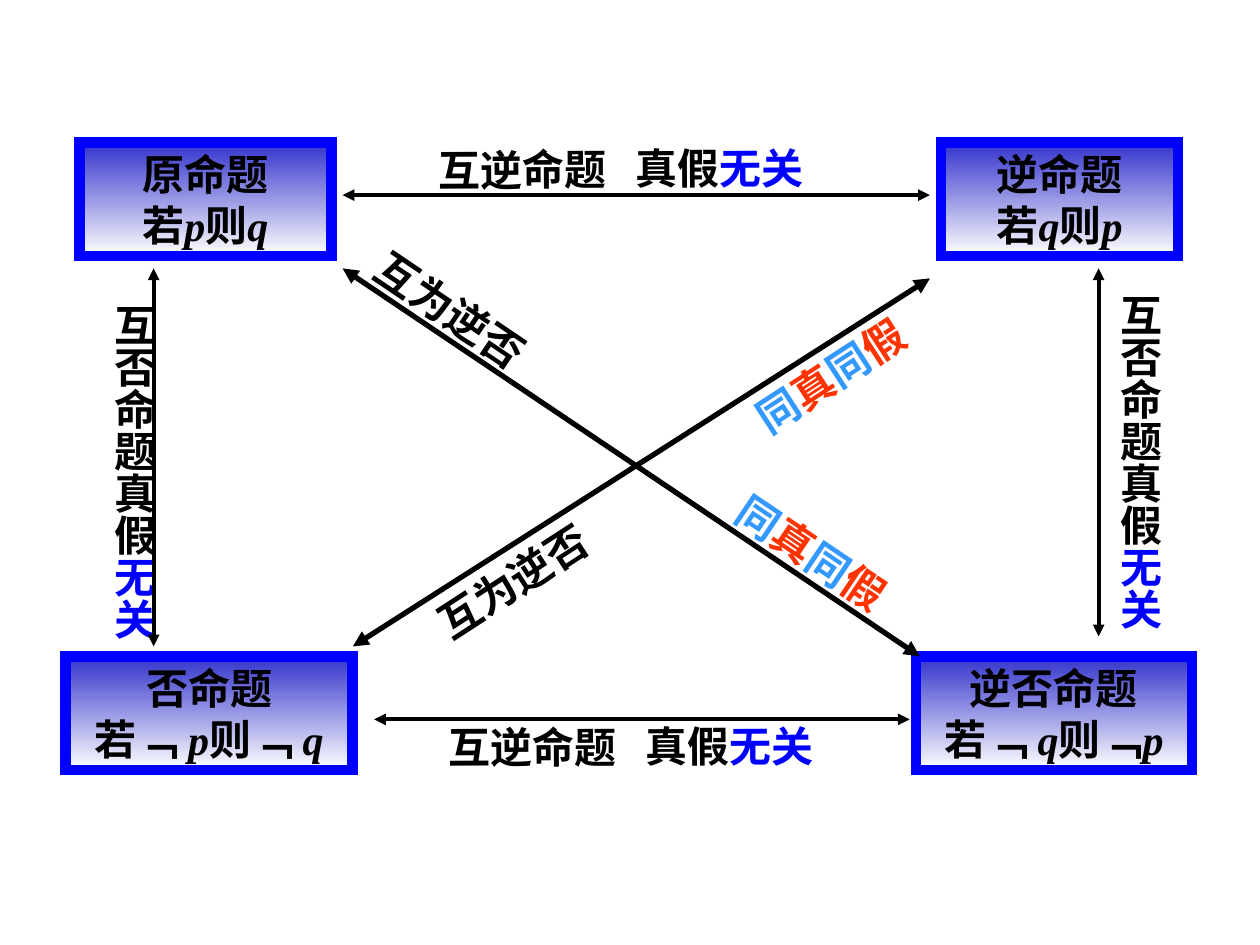
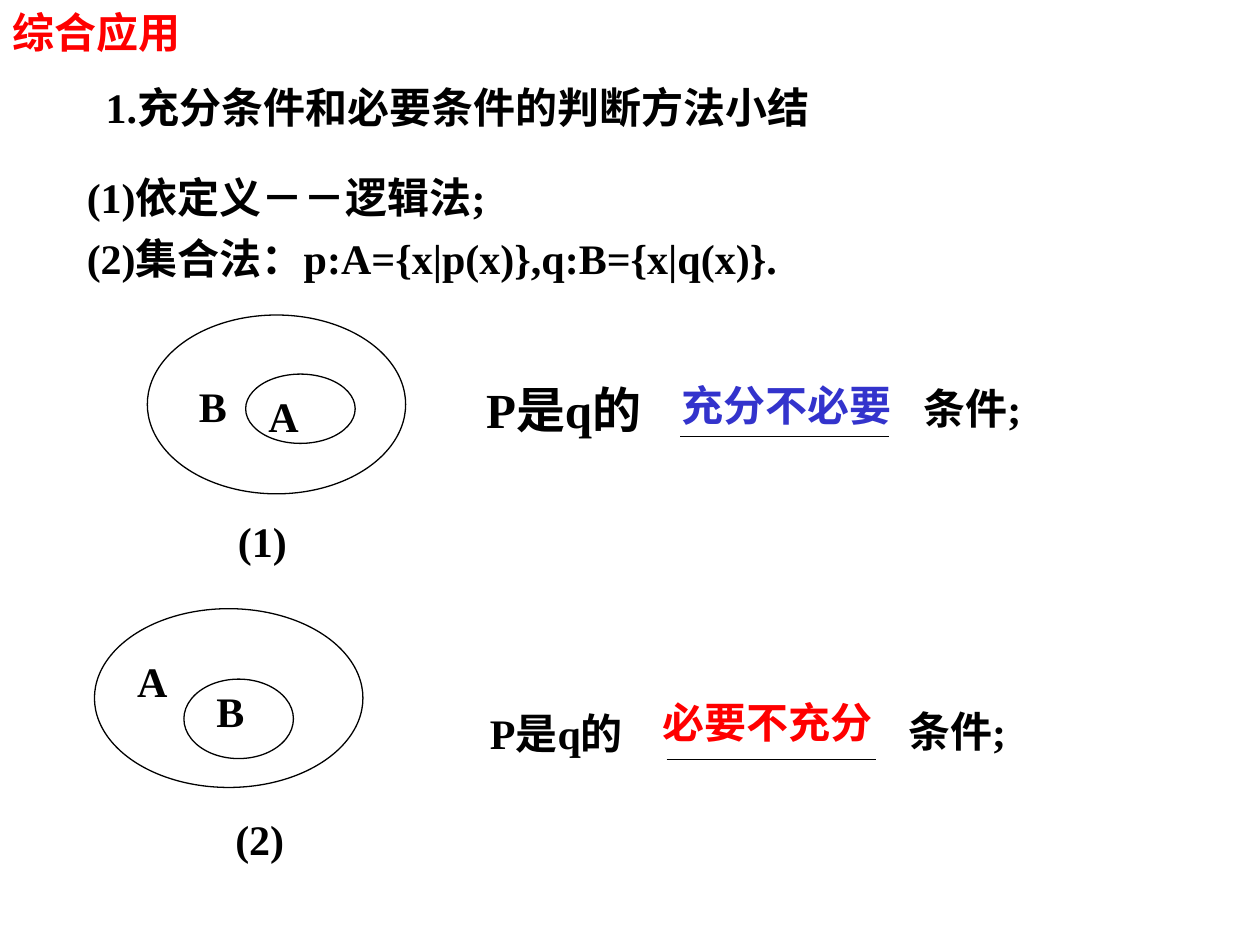
"""Build two slides on the four forms of a proposition and on conditions."""
from pptx import Presentation
from pptx.dml.color import RGBColor
from pptx.enum.shapes import MSO_CONNECTOR, MSO_SHAPE
from pptx.enum.text import MSO_ANCHOR, PP_ALIGN
from pptx.oxml.ns import qn
from pptx.util import Pt
from lxml import etree

RECT, OVAL = MSO_SHAPE.RECTANGLE, MSO_SHAPE.OVAL
STRAIGHT = MSO_CONNECTOR.STRAIGHT
LEFT, MID = PP_ALIGN.LEFT, PP_ALIGN.CENTER
TOP, MIDDLE = MSO_ANCHOR.TOP, MSO_ANCHOR.MIDDLE
FONT = "Times New Roman"
INK, BLUE, NAVY, RED = "000000", "0000FF", "3333CC", "FF0000"
SKY, FLAME, WHITE = "3399FF", "FF3300", "FFFFFF"
tint = RGBColor.from_string


def write(shape, lines, color=INK, size=24, align=LEFT, anchor=TOP, wrap=True):
    """Fill a shape with lines, each a list of (text, own colour or None)."""
    frame = shape.text_frame
    frame.word_wrap, frame.vertical_anchor = wrap, anchor
    for num, line in enumerate(lines):
        para = frame.add_paragraph() if num else frame.paragraphs[0]
        para.alignment = align
        font = para.font
        font.name, font.size, font.bold = FONT, Pt(size), True
        font.color.rgb = tint(color)
        for text, own in line:
            run = para.add_run()
            run.text = text
            if own:
                run.font.color.rgb = tint(own)
            if text in ("p", "q"):
                run.font.italic = True
    return frame


def draw(slide, ends, width, arrow=False):
    """Draw a straight black line, with heads at both ends if asked."""
    line = slide.shapes.add_connector(STRAIGHT, *map(Pt, ends))
    line.line.color.rgb, line.line.width = tint(INK), Pt(width)
    props = line._element.spPr
    if arrow:
        for tag in ("a:headEnd", "a:tailEnd"):
            etree.SubElement(props.find(qn("a:ln")), qn(tag), type="triangle")
    etree.SubElement(props, qn("a:effectLst"))


deck = Presentation()
deck.slide_width, deck.slide_height = Pt(720), Pt(540)

slide = deck.slides.add_slide(deck.slide_layouts[6])
forms = [
    (45.4, 81.4, 144, "原命题", ("若", "p", "则", "q")),
    (537.8, 81.4, 135.4, "逆命题", ("若", "q", "则", "p")),
    (37.4, 375.1, 164.2, "否命题", ("若﹁ ", "p", "则﹁ ", "q")),
    (523.4, 375.1, 157.7, "逆否命题", ("若﹁ ", "q", "则﹁", "p")),
]
for x, y, w, name, parts in forms:
    box = slide.shapes.add_shape(RECT, Pt(x), Pt(y), Pt(w), Pt(65))
    box.shadow.inherit = False
    box.fill.gradient()
    box.fill.gradient_angle = 270
    for stop, color, place in zip(box.fill.gradient_stops, (NAVY, WHITE), (0, 1)):
        stop.color.rgb, stop.position = tint(color), place
    box.line.color.rgb, box.line.width = tint(BLUE), Pt(6)
    edge = box._element.spPr.find(qn("a:ln"))
    etree.SubElement(edge, qn("a:miter"), lim="800000")
    write(box, [[(name, None)], [(part, None) for part in parts]],
          align=MID, wrap=False)

contra = [("互为逆否", None)]
same = [("同", SKY), ("真", FLAME), ("同", SKY), ("假", FLAME)]
inverse = [("互逆命题", None)]
free = [("真假", None), ("无关", BLUE)]
tags = [
    (293, 332, 327, contra), (474.5, 214.6, 327, same),
    (257.5, 177, 34, contra), (463.8, 315.6, 34, same),
    (298.6, 96.6, 359.6, inverse), (411, 95.8, 359.6, free),
    (304.2, 426.5, 359.6, inverse), (416.6, 426, 359.6, free),
]
wide, high = 112, 36
for x, y, turn, runs in tags:
    tag = slide.shapes.add_textbox(Pt(x - wide / 2), Pt(y - high / 2),
                                   Pt(wide), Pt(high))
    tag.rotation = turn
    write(tag, [runs], align=MID, anchor=MIDDLE, wrap=False)

for x, y in ((51.4, 167), (626.4, 161.2)):
    side = slide.shapes.add_textbox(Pt(x), Pt(y), Pt(43.2), Pt(210.2))
    frame = write(side, [[("互否命题真假", None), ("无关", BLUE)]])
    frame.margin_left = frame.margin_right = Pt(3.6)
    frame.margin_top = frame.margin_bottom = Pt(7.2)
    frame._txBody.bodyPr.set("vert", "eaVert")

arrows = [
    (195.8, 111.5, 531.4, 111.5, 2.25), (213.8, 411.1, 519.8, 411.1, 2.25),
    (87.8, 153.4, 87.8, 369.4, 2.25), (627.8, 153.4, 627.8, 363.6, 2.25),
    (201.6, 369.4, 531.4, 159.1, 3), (195.8, 153.4, 525.6, 375.1, 3),
]
for *ends, width in arrows:
    draw(slide, ends, width, arrow=True)

slide = deck.slides.add_slide(deck.slide_layouts[5])
title = slide.shapes.title
title.left, title.top, title.width, title.height = map(Pt, (42.5, 43.2, 437.8, 36))
write(title, [[("1.充分条件和必要条件的判断方法小结", None)]],
      align=MID, anchor=MIDDLE)

ovals = [
    (84.2, 180, 147.6, 102.2), (140.4, 213.8, 62.6, 39.6),
    (54, 347.8, 153.4, 102.2), (105.1, 388.1, 62.6, 45.4),
]
for spot in ovals:
    oval = slide.shapes.add_shape(OVAL, *map(Pt, spot))
    oval.shadow.inherit = False
    oval.fill.background()
    oval.line.color.rgb, oval.line.width = tint(INK), Pt(0.75)

notes = [
    (0, 0, 124.6, "综合应用", RED, 24),
    (128.9, 290.9, 48.2, "(1)", INK, 24),
    (146.2, 219.6, 51.1, "A", INK, 24),
    (106.6, 213.8, 33.8, "B", INK, 24),
    (382.3, 213.1, 153.4, "充分不必要", NAVY, 24),
    (270.7, 213.1, 140, "P是q的", INK, 28),
    (520.6, 215.3, 96.5, "条件;", INK, 24),
    (116.6, 388.1, 33.8, "B", INK, 24),
    (71.3, 370.8, 62.6, "A", INK, 24),
    (127.4, 461.5, 62.6, "(2)", INK, 24),
    (371.5, 394.6, 153.4, "必要不充分", RED, 24),
    (272.9, 401, 140, "P是q的", INK, 24),
    (511.9, 399.6, 96.5, "条件;", INK, 24),
]
for x, y, w, text, color, size in notes:
    note = slide.shapes.add_textbox(Pt(x), Pt(y), Pt(w), Pt(size * 1.5))
    write(note, [[(text, None)]], color, size)

for x, y in ((388.8, 249.3), (380.9, 434.2)):
    draw(slide, (x, y, x + 119.5, y), 0.75)

ways = slide.shapes.add_textbox(Pt(42.5), Pt(94.3), Pt(425.5), Pt(85))
frame = write(ways, [[("(1)依定义－－逻辑法;", None)],
                     [("(2)集合法：p:A={x|p(x)},q:B={x|q(x)}.", None)]])
frame.paragraphs[1].space_before = Pt(6)
for para in frame.paragraphs:
    props = para._p.get_or_add_pPr()
    props.set("marL", str(Pt(27)))
    props.set("indent", str(Pt(-27)))

deck.save("out.pptx")
